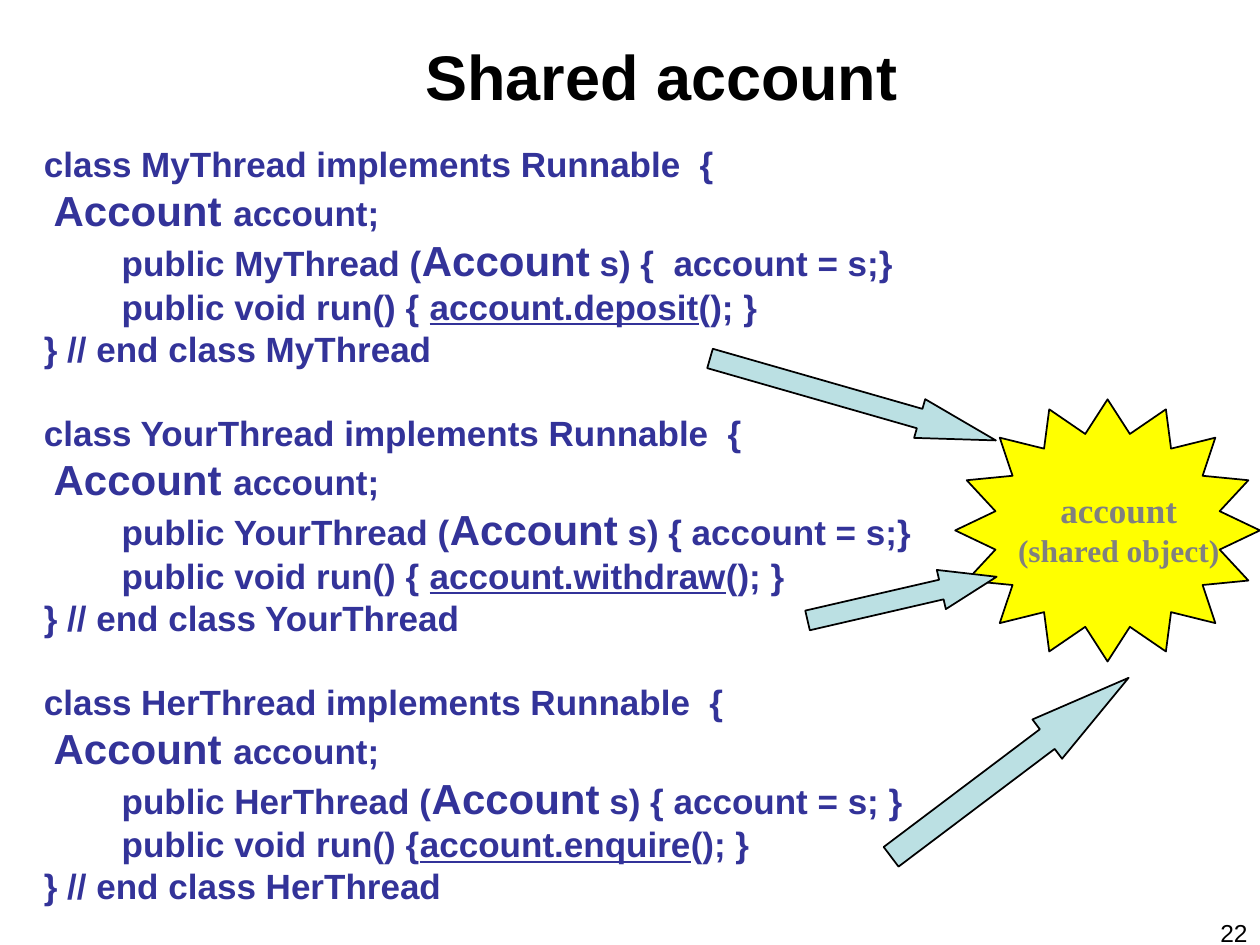
from dataclasses import dataclass
from typing import NamedTuple

from pptx import Presentation
from pptx.dml.color import RGBColor
from pptx.enum.shapes import MSO_SHAPE
from pptx.enum.text import MSO_ANCHOR, MSO_AUTO_SIZE, PP_ALIGN
from pptx.util import Pt

DOWN_ARROW = MSO_SHAPE.DOWN_ARROW
STAR = MSO_SHAPE.STAR_16_POINT
LEFT, CENTER, RIGHT = PP_ALIGN.LEFT, PP_ALIGN.CENTER, PP_ALIGN.RIGHT
TOP = MSO_ANCHOR.TOP
GROW, FIXED = MSO_AUTO_SIZE.SHAPE_TO_FIT_TEXT, MSO_AUTO_SIZE.NONE


@dataclass(frozen=True)
class Theme:
    sans: str = "Arial"
    serif: str = "Times New Roman"
    black: RGBColor = RGBColor(0, 0, 0)
    code: RGBColor = RGBColor(0x33, 0x33, 0x99)
    label: RGBColor = RGBColor(0x80, 0x80, 0x80)
    star: RGBColor = RGBColor(0xFF, 0xFF, 0)
    arrow: RGBColor = RGBColor(0xBB, 0xE0, 0xE3)
    title_size: int = 36
    type_size: int = 24
    code_size: int = 20
    note_size: int = 18
    number_size: int = 14
    leading: float = 1.2


THEME = Theme()


class Box(NamedTuple):
    left: float
    top: float
    width: float
    height: float


class Span(NamedTuple):
    text: str
    size: int = THEME.code_size
    underline: bool = False


class Style(NamedTuple):
    font: str
    color: RGBColor
    bold: bool = True
    align: PP_ALIGN = LEFT


class ThreadClass(NamedTuple):
    name: str
    body: str
    run_start: str
    call: str


class Arrow(NamedTuple):
    box: Box
    rotation: float
    head: float


THREADS = [
    ThreadClass("MyThread", "{  account = s;}", "{ ", "account.deposit"),
    ThreadClass("YourThread", "{ account = s;}", "{ ", "account.withdraw"),
    ThreadClass("HerThread", "{ account = s; }", "{", "account.enquire"),
]
ARROWS = [
    Arrow(Box(475.9, 143.3, 23, 169.9), 286, 1.97),
    Arrow(Box(504, 286.6, 23, 110.9), 257, 1.41),
    Arrow(Box(563, 353.5, 28.1, 169.9), 233, 2.07),
]


def place(sp, box: Box) -> None:
    sp.left, sp.top, sp.width, sp.height = map(Pt, box)


def write_line(p, spans: list[Span], style: Style, before: float = 0) -> None:
    size = max(span.size for span in spans)
    p.alignment = style.align
    p.line_spacing = Pt(size * THEME.leading)
    p.space_before = Pt(before)
    p.font.name = style.font
    p.font.bold = style.bold
    p.font.color.rgb = style.color
    p.font.size = Pt(size)
    for span in spans:
        r = p.add_run()
        r.text = span.text
        if span.size != size:
            r.font.size = Pt(span.size)
        if span.underline:
            r.font.underline = True


def add_text(s, box: Box, lines: list[list[Span]], style: Style,
             auto_size: MSO_AUTO_SIZE, block: int = 0) -> None:
    tf = s.shapes.add_textbox(*map(Pt, box)).text_frame
    tf.word_wrap = True
    tf.auto_size = auto_size
    for i, spans in enumerate(lines):
        p = tf.add_paragraph() if i else tf.paragraphs[0]
        starts_block = i and block and i % block == 0
        gap = THEME.code_size * THEME.leading if starts_block else 0
        write_line(p, spans, style, gap)


def class_lines(t: ThreadClass) -> list[list[Span]]:
    indent = " " * 8
    return [
        [Span(f"class {t.name} implements Runnable  {{")],
        [Span(" "), Span("Account ", THEME.type_size), Span("account;")],
        [Span(f"{indent}public {t.name} ("), Span("Account", THEME.type_size),
         Span(f" s) {t.body}")],
        [Span(f"{indent}public void run() {t.run_start}"),
         Span(t.call, underline=True), Span("(); }")],
        [Span(f"}} // end class {t.name}")],
    ]


def add_filled(s, kind: MSO_SHAPE, box: Box, color: RGBColor):
    sp = s.shapes.add_shape(kind, *map(Pt, box))
    sp.shadow.inherit = False
    sp.fill.solid()
    sp.fill.fore_color.rgb = color
    sp.line.color.rgb = THEME.black
    sp.line.width = Pt(1)
    return sp


def add_arrow(s, arrow: Arrow) -> None:
    sp = add_filled(s, DOWN_ARROW, arrow.box, THEME.arrow)
    sp.adjustments[0] = 0.5
    sp.adjustments[1] = arrow.head
    sp.rotation = arrow.rotation


def set_title(s, text: str) -> None:
    sp = s.shapes.title
    place(sp, Box(36, 18, 684, 50.4))
    tf = sp.text_frame
    tf.vertical_anchor = TOP
    tf.auto_size = FIXED
    write_line(tf.paragraphs[0], [Span(text, THEME.title_size)],
               Style(THEME.sans, THEME.black, align=CENTER))


def main() -> None:
    prs = Presentation()
    prs.slide_width, prs.slide_height = Pt(720), Pt(540)
    s = prs.slides.add_slide(prs.slide_layouts[5])
    set_title(s, "Shared account")
    add_text(s, Box(660, 521.3, 60, 37.4), [[Span("22", THEME.number_size)]],
             Style(THEME.sans, THEME.black, False, RIGHT), FIXED)
    blocks = [class_lines(t) for t in THREADS]
    add_text(s, Box(18, 77.8, 522, 444.2), sum(blocks, []),
             Style(THEME.sans, THEME.code), GROW, len(blocks[0]))
    add_filled(s, STAR, Box(545.8, 228.2, 174.2, 149.8), THEME.star)
    for arrow in ARROWS:
        add_arrow(s, arrow)
    add_text(s, Box(570.2, 275.8, 138.2, 52.6),
             [[Span("account")], [Span("(shared object)", THEME.note_size)]],
             Style(THEME.serif, THEME.label, align=CENTER), GROW)
    prs.save("out.pptx")


if __name__ == "__main__":
    main()
